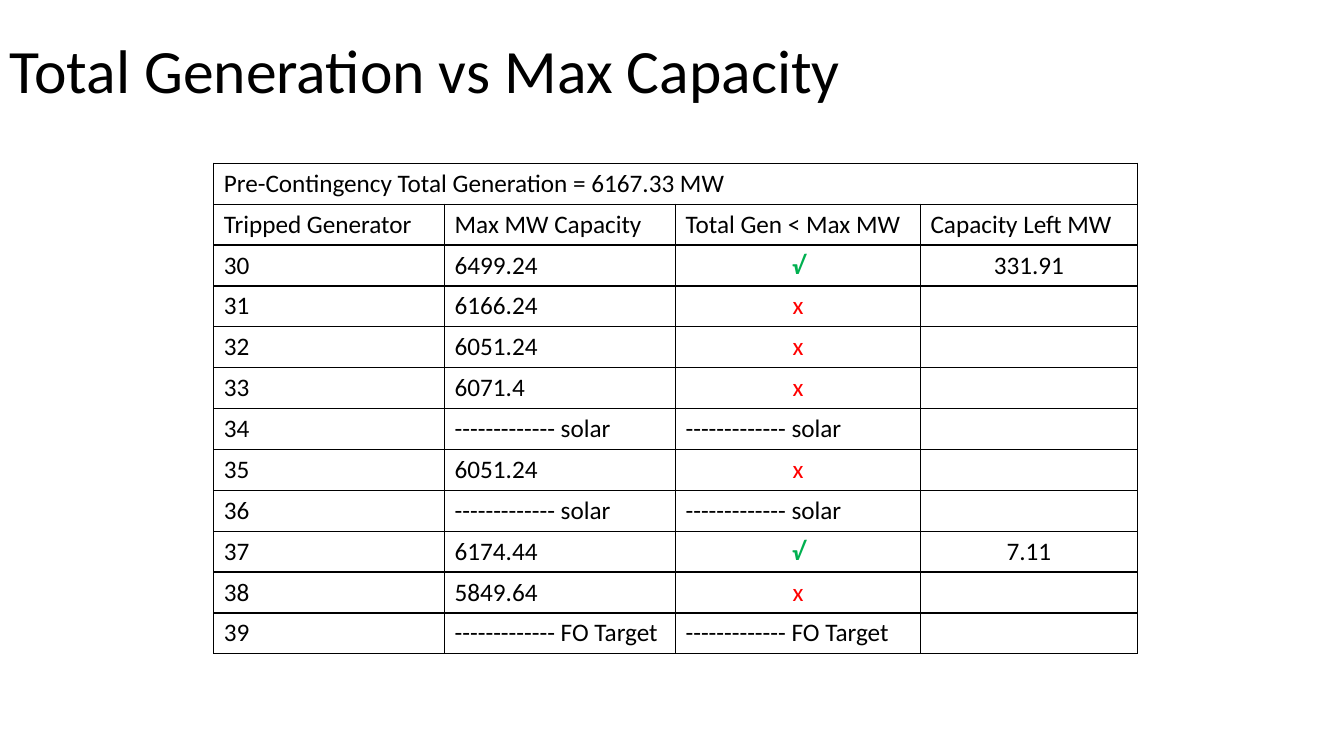
from lxml import etree
from pptx import Presentation
from pptx.dml.color import RGBColor
from pptx.enum.text import MSO_ANCHOR, PP_ALIGN
from pptx.oxml.ns import qn
from pptx.util import Inches, Pt

BLACK = RGBColor(0x00, 0x00, 0x00)
GREEN = RGBColor(0x00, 0xB0, 0x50)
RED = RGBColor(0xFF, 0x00, 0x00)
MIDDLE, CENTER = MSO_ANCHOR.MIDDLE, PP_ALIGN.CENTER

# Content
TITLE = "Total Generation vs Max Capacity"
SOLAR = "------------- solar"
TARGET = "------------- FO Target"
ROWS = [
    ("Pre-Contingency Total Generation = 6167.33 MW", "", "", ""),
    ("Tripped Generator", "Max MW Capacity", "Total Gen < Max MW", "Capacity Left MW"),
    ("30", "6499.24", "√", "331.91"),
    ("31", "6166.24", "x", ""),
    ("32", "6051.24", "x", ""),
    ("33", "6071.4", "x", ""),
    ("34", SOLAR, SOLAR, ""),
    ("35", "6051.24", "x", ""),
    ("36", SOLAR, SOLAR, ""),
    ("37", "6174.44", "√", "7.11"),
    ("38", "5849.64", "x", ""),
    ("39", TARGET, TARGET, ""),
]

# Formats
BASE = {"name": "Calibri", "size": Pt(18), "bold": False, "italic": False}
HEAD = {**BASE, "size": Pt(44)}
MARKS = {
    "√": ({**BASE, "bold": True, "italic": True}, GREEN),
    "x": (BASE, RED),
}

# Grid
WIDE, HIGH = Inches(13.33), Inches(7.5)
LEFT, TOP = Inches(2.12), Inches(1.62)
COLS = [Inches(w) for w in (2.29, 2.29, 2.43, 2.15)]
TALL = Inches(4.87) // len(ROWS)


def style(font, form, color=BLACK):
    for key, value in form.items():
        setattr(font, key, value)
    font.color.rgb = color


def border(cell):
    props = cell._tc.get_or_add_tcPr()
    for spot, side in enumerate(("lnL", "lnR", "lnT", "lnB")):
        line = etree.Element(qn("a:" + side), w=str(Pt(1)))
        fill = etree.SubElement(line, qn("a:solidFill"))
        etree.SubElement(fill, qn("a:srgbClr"), val=str(BLACK))
        props.insert(spot, line)


def add_title(slide):
    box = slide.shapes.add_textbox(0, 0, Inches(11.5), Inches(1.45))
    frame = box.text_frame
    frame.word_wrap = True
    frame.vertical_anchor = MIDDLE
    para = frame.paragraphs[0]
    para.text = TITLE
    para.line_spacing = 0.9
    style(para.runs[0].font, HEAD)


def add_grid(slide):
    frame = slide.shapes.add_table(
        len(ROWS), len(COLS), LEFT, TOP, sum(COLS), TALL * len(ROWS))
    table = frame.table
    table.first_row = table.horz_banding = False
    for col, width in zip(table.columns, COLS):
        col.width = width
    for r, row in enumerate(ROWS):
        table.rows[r].height = TALL
        for c, text in enumerate(row):
            cell = table.cell(r, c)
            cell.fill.background()
            border(cell)
            if not text:
                continue
            para = cell.text_frame.paragraphs[0]
            para.text = text
            form, color = MARKS.get(text, (BASE, BLACK))
            style(para.runs[0].font, form, color)
            # Marks and remaining capacity are centred
            if text in MARKS or (r > 1 and c == 3):
                para.alignment = CENTER
    table.cell(0, 0).merge(table.cell(0, len(COLS) - 1))


def main():
    deck = Presentation()
    deck.slide_width, deck.slide_height = WIDE, HIGH
    slide = deck.slides.add_slide(deck.slide_layouts[6])
    add_title(slide)
    add_grid(slide)
    deck.save("out.pptx")


if __name__ == "__main__":
    main()
